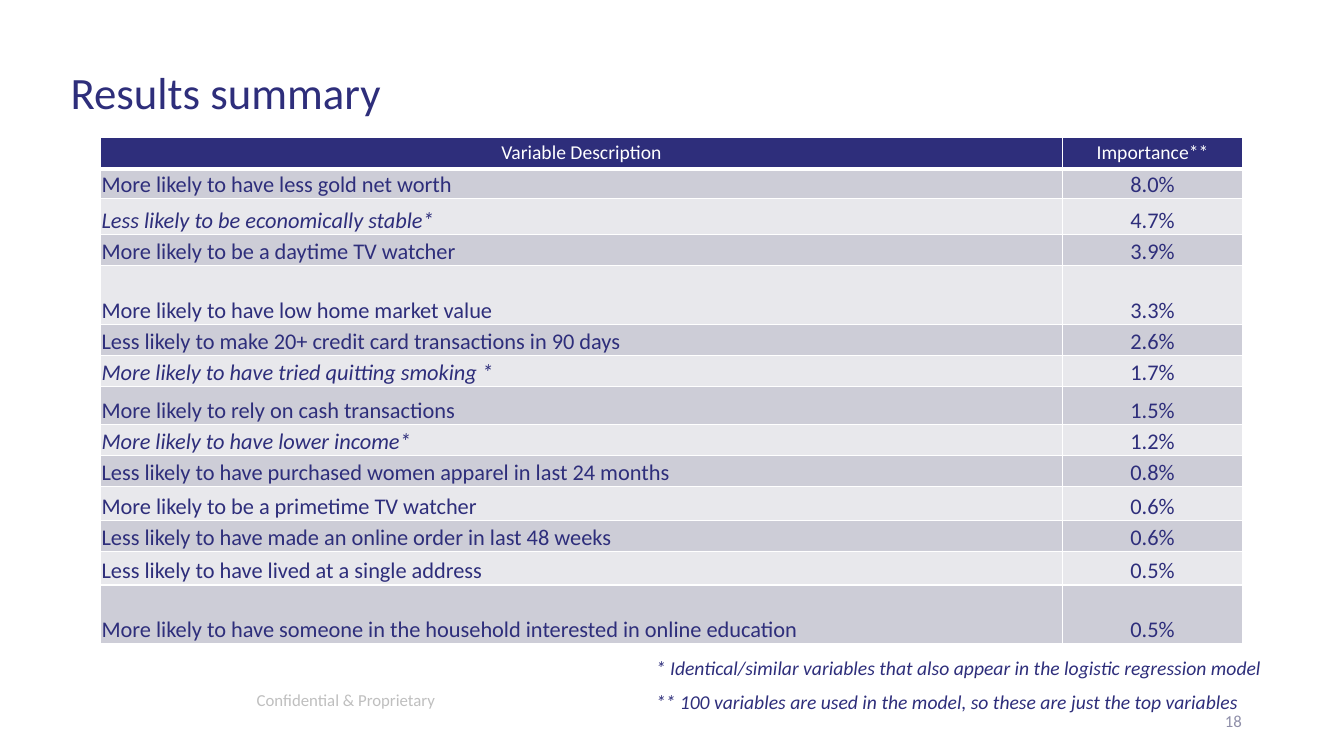
from dataclasses import dataclass
from lxml import etree
from pptx import Presentation
from pptx.dml.color import RGBColor
from pptx.enum.text import MSO_ANCHOR, PP_ALIGN
from pptx.oxml.ns import qn
from pptx.util import Cm, Pt

LEFT, MID, RIGHT = PP_ALIGN.LEFT, PP_ALIGN.CENTER, PP_ALIGN.RIGHT
TOP, CENTER, BASE = MSO_ANCHOR.TOP, MSO_ANCHOR.MIDDLE, MSO_ANCHOR.BOTTOM


@dataclass(frozen=True)
class Theme:
    font: str = "Calibri"
    navy: str = "2E2E7B"
    white: str = "FFFFFF"
    dark: str = "CDCDD7"
    light: str = "E8E8EC"
    foot: str = "BFBFBF"
    page: str = "8F8FA9"
    title: int = 32
    body: int = 16
    note: int = 14
    small: int = 12


THEME = Theme()
HEAD = ("Variable Description", "Importance**")
# Description, importance, row height in cm
ROWS = [
    ("More likely to have less gold net worth", "8.0%", 0.76),
    ("Less likely to be economically stable*", "4.7%", 0.9),
    ("More likely to be a daytime TV watcher", "3.9%", 0.78),
    ("More likely to have low home market value", "3.3%", 1.48),
    ("Less likely to make 20+ credit card transactions in 90 days", "2.6%", 0.78),
    ("More likely to have tried quitting smoking *", "1.7%", 0.78),
    ("More likely to rely on cash transactions", "1.5%", 0.97),
    ("More likely to have lower income*", "1.2%", 0.78),
    ("Less likely to have purchased women apparel in last 24 months", "0.8%", 0.78),
    ("More likely to be a primetime TV watcher", "0.6%", 0.85),
    ("Less likely to have made an online order in last 48 weeks", "0.6%", 0.78),
    ("Less likely to have lived at a single address", "0.5%", 0.85),
    ("More likely to have someone in the household interested in online education",
     "0.5%", 1.48),
]
NOTES = (
    "* Identical/similar variables that also appear in the logistic regression model",
    "** 100 variables are used in the model, so these are just the top variables",
)


def write(frame, text, size=THEME.body, color=THEME.navy, align=LEFT,
          italic=False, space=None):
    para = frame.paragraphs[0]
    para.alignment = align
    if space:
        para.line_spacing = space
    run = para.add_run()
    run.text = text
    font = run.font
    font.name, font.size, font.italic = THEME.font, Pt(size), italic
    font.color.rgb = RGBColor.from_string(color)


def label(slide, box, text, anchor=TOP, inset=True, **style):
    frame = slide.shapes.add_textbox(*map(Cm, box)).text_frame
    frame.word_wrap = True
    frame.vertical_anchor = anchor
    if not inset:
        frame.margin_left = frame.margin_right = 0
        frame.margin_top = frame.margin_bottom = 0
    write(frame, text, **style)


def edge(cell, base):
    """Draw white borders; base is the width of the lower one."""
    props = cell._tc.get_or_add_tcPr()
    sides = (("a:lnL", 1), ("a:lnR", 1), ("a:lnT", 1), ("a:lnB", base))
    for spot, (side, width) in enumerate(sides):
        line = etree.Element(qn(side), w=str(Pt(width)))
        fill = etree.SubElement(line, qn("a:solidFill"))
        etree.SubElement(fill, qn("a:srgbClr"), val=THEME.white)
        props.insert(spot, line)


def fill_cell(cell, text, fill, anchor, pads, base=1, **style):
    cell.fill.solid()
    cell.fill.fore_color.rgb = RGBColor.from_string(fill)
    cell.vertical_anchor = anchor
    side, top, low = map(Cm, pads)
    cell.margin_left = cell.margin_right = side
    cell.margin_top, cell.margin_bottom = top, low
    edge(cell, base)
    write(cell.text_frame, text, **style)


def results(slide, box):
    left, top, width, height = box
    grid = slide.shapes.add_table(len(ROWS) + 1, 2, *map(Cm, box)).table
    rate = 4.55
    grid.columns[0].width, grid.columns[1].width = Cm(width - rate), Cm(rate)

    # Header row takes the height the others leave
    grid.rows[0].height = Cm(height - sum(row[2] for row in ROWS))
    for col, text in enumerate(HEAD):
        fill_cell(grid.cell(0, col), text, THEME.navy, CENTER, (0.13, 0.06, 0.06),
                  base=3, size=THEME.note, color=THEME.white, align=MID)

    # Banded rows; starred variables are italic
    for num, (name, share, tall) in enumerate(ROWS, 1):
        grid.rows[num].height = Cm(tall)
        band = THEME.dark if num % 2 else THEME.light
        pads = (0.02, 0.02, 0)
        fill_cell(grid.cell(num, 0), name, band, BASE, pads,
                  italic=name.endswith("*"))
        fill_cell(grid.cell(num, 1), share, band, BASE, pads, align=MID)


def notes(slide, box):
    left, top, width, height = box
    step = height / len(NOTES)
    for num, text in enumerate(NOTES):
        label(slide, (left, top + num * step, width, step), text,
              size=THEME.note, italic=True)


def footer(slide, box):
    left, top, width, height = box
    label(slide, (left, top, 11.43, 1.02), "Confidential & Proprietary",
          anchor=CENTER, size=THEME.small, color=THEME.foot)
    label(slide, (left + width - 7.62, top + height - 1.02, 7.62, 1.02), "18",
          anchor=CENTER, size=THEME.small, color=THEME.page, align=RIGHT)


def summary(deck):
    slide = deck.slides.add_slide(deck.slide_layouts[6])
    footer(slide, (6.22, 17.12, 25.33, 1.55))
    label(slide, (1.78, 1.78, 30.5, 1.85), "Results summary", inset=False,
          size=THEME.title, space=0.9)
    results(slide, (2.54, 3.46, 28.78, 12.76))
    notes(slide, (16.28, 16.41, 15.8, 1.72))


def main():
    deck = Presentation()
    deck.slide_width, deck.slide_height = Cm(33.87), Cm(19.05)
    summary(deck)
    deck.save("out.pptx")


if __name__ == "__main__":
    main()
